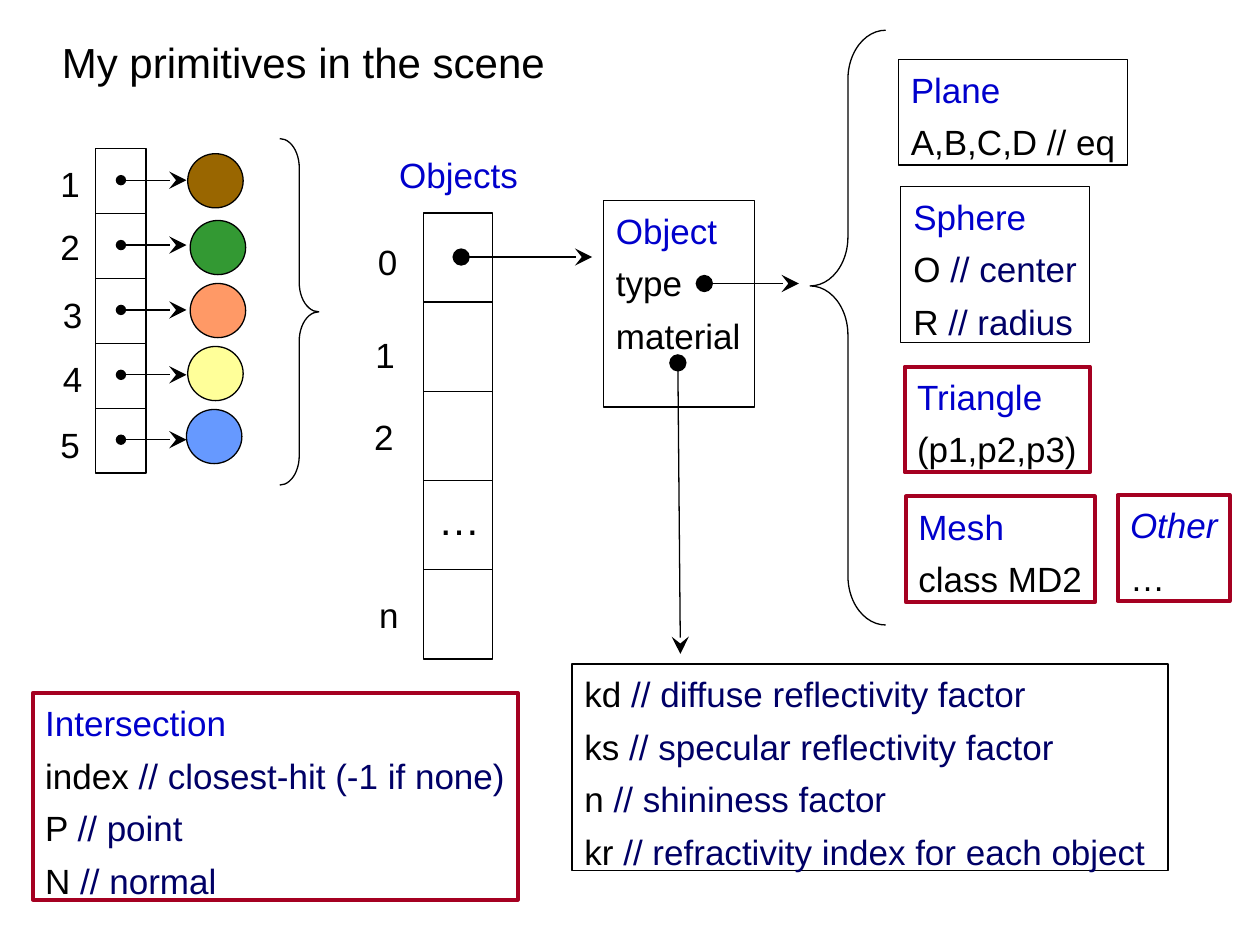
import dataclasses

import pptx
import pptx.dml.color
import pptx.enum.shapes
import pptx.enum.text
import pptx.oxml
import pptx.oxml.ns
import pptx.util

SHAPE = pptx.enum.shapes.MSO_SHAPE
COLUMNS, ROWS = 100, 75


@dataclasses.dataclass(frozen=True)
class Theme:
    font: str = "Arial"
    ink: str = "000000"
    heading: str = "0000CC"
    comment: str = "000066"
    accent: str = "A50021"
    spheres: tuple = ("996600", "339933", "FF9966", "FFFF99", "6699FF")
    title_size: int = 24
    body_size: int = 20
    thin: float = 0.75
    thick: float = 2.25


def rgb(value):
    return pptx.dml.color.RGBColor.from_string(value)


def write(frame, lines, *, font, size, color, gap=6, wrap=True):
    """Fill a frame; each line is a list of (text, format) spans."""
    frame.auto_size = pptx.enum.text.MSO_AUTO_SIZE.NONE
    frame.word_wrap = wrap
    frame.vertical_anchor = pptx.enum.text.MSO_ANCHOR.TOP
    frame.margin_left = pptx.util.Inches(0.1)
    frame.margin_top = pptx.util.Inches(0.07)
    frame.margin_right = frame.margin_bottom = 0
    for index, spans in enumerate(lines):
        para = frame.add_paragraph() if index else frame.paragraphs[0]
        para.alignment = pptx.enum.text.PP_ALIGN.LEFT
        para.space_before = pptx.util.Pt(gap if index else 0)
        for text, options in spans:
            span = para.add_run()
            span.text = text
            span.font.name = font
            span.font.size = pptx.util.Pt(size)
            span.font.italic = options.get("italic", False)
            span.font.color.rgb = rgb(options.get("color", color))


class Canvas:
    """Draws on one slide; lengths are columns and rows of its grid."""

    def __init__(self, deck, theme):
        self.theme = theme
        self.column = deck.slide_width / COLUMNS
        self.row = deck.slide_height / ROWS
        self.page = deck.slides.add_slide(deck.slide_layouts[5])

    def place(self, x, y):
        return round(x * self.column), round(y * self.row)

    def format(self, size=None):
        return dict(font=self.theme.font, color=self.theme.ink,
                    size=size or self.theme.body_size)

    def title(self, text, x, y, width, height):
        holder = self.page.shapes.title
        holder.left, holder.top = self.place(x, y)
        holder.width, holder.height = self.place(width, height)
        write(holder.text_frame, [[(text, {})]], **self.format(self.theme.title_size))

    def label(self, text, x, y, width=3.5, height=4.4, size=None, color=None):
        box = self.page.shapes.add_textbox(*self.place(x, y), *self.place(width, height))
        spans = [(text, {"color": color or self.theme.ink})]
        write(box.text_frame, [spans], **self.format(size))

    def shape(self, kind, x, y, width, height, fill=None, accent=False):
        shape = self.page.shapes.add_shape(
            kind, *self.place(x, y), *self.place(width, height))
        shape.shadow.inherit = False
        if fill:
            shape.fill.solid()
            shape.fill.fore_color.rgb = rgb(fill)
        else:
            shape.fill.background()
        shape.line.color.rgb = rgb(self.theme.accent if accent else self.theme.ink)
        shape.line.width = pptx.util.Pt(self.theme.thick if accent else self.theme.thin)
        return shape

    def brace(self, kind, x, y, width, height, curve, middle):
        brace = self.shape(kind, x, y, width, height)
        brace.adjustments[0], brace.adjustments[1] = curve, middle

    def record(self, name, fields, x, y, width, height, accent=False, italic=False):
        """A box with a coloured heading and (field, comment) lines."""
        box = self.shape(SHAPE.RECTANGLE, x, y, width, height, accent=accent)
        lines = [[(name, {"color": self.theme.heading, "italic": italic})]] if name else []
        for field, comment in fields:
            spans = [(field, {})]
            if comment:
                spans = [(field + " ", {}),
                         ("// " + comment, {"color": self.theme.comment})]
            lines.append(spans)
        write(box.text_frame, lines, **self.format())

    def cells(self, x, y, width, height, count):
        for index in range(count):
            self.shape(SHAPE.RECTANGLE, x, y + index * height, width, height)

    def pointer(self, x1, y1, x2, y2, dot="lg"):
        line = self.page.shapes.add_connector(
            pptx.enum.shapes.MSO_CONNECTOR.STRAIGHT,
            *self.place(x1, y1), *self.place(x2, y2))
        line.line.color.rgb = rgb(self.theme.ink)
        line.line.width = pptx.util.Pt(self.theme.thin)
        stroke = line.line._get_or_add_ln()
        for tag, kind, size in (("headEnd", "oval", dot), ("tailEnd", "stealth", "lg")):
            stroke.append(pptx.oxml.parse_xml(
                f'<a:{tag} {pptx.oxml.ns.nsdecls("a")} type="{kind}" w="{size}" len="{size}"/>'))
        line._element.spPr.append(pptx.oxml.parse_xml(
            f'<a:effectLst {pptx.oxml.ns.nsdecls("a")}/>'))


def draw_spheres(canvas):
    top, pitch = 11.8, 5.15
    canvas.cells(7.6, top, 4, pitch, 5)
    circles = [(14.9, 12.2), (15.1, 17.5), (15.1, 22.5), (14.9, 27.5), (14.8, 32.5)]
    numbers = [(3.8, 12.2), (3.8, 17.2), (4, 22.6), (4, 27.7), (3.8, 32.9)]
    rows = zip(circles, numbers, canvas.theme.spheres)
    for index, (circle, number, fill) in enumerate(rows):
        y = top + index * pitch + 2.5
        canvas.shape(SHAPE.OVAL, *circle, 4.4, 4.3, fill=fill)
        canvas.pointer(9.6, y, 14.8, y, dot="med")
        canvas.label(str(index + 1), *number)
    canvas.brace(SHAPE.RIGHT_BRACE, 22.2, 11, 3.1, 27.5, curve=0.75, middle=0.5)


def draw_objects(canvas):
    theme = canvas.theme
    canvas.cells(33.6, 16.9, 5.5, 7.08, 5)
    canvas.label("Objects", 30.7, 11.5, width=11.4, color=theme.heading)
    canvas.label("…", 33.8, 38.5, 5.3, 5, size=theme.title_size)
    for text, x, y in (("0", 29, 18.4), ("1", 28.8, 25.8),
                       ("2", 28.7, 32.3), ("n", 29.1, 46.4)):
        canvas.label(text, x, y)


def draw_records(canvas):
    canvas.record("Object", [("type", ""), ("material", "")], 47.9, 15.9, 12, 16.4)
    canvas.record("Plane", [("A,B,C,D // eq", "")], 71.3, 4.7, 18.2, 8.4)
    canvas.record("Sphere", [("O", "center"), ("R", "radius")], 71.5, 14.8, 15, 12.4)
    canvas.record("Triangle", [("(p1,p2,p3)", "")], 71.8, 29.1, 14.7, 8.4, accent=True)
    canvas.record("Mesh", [("class MD2", "")], 71.9, 39.4, 15, 8.4, accent=True)
    canvas.record("Other", [("…", "")], 88.7, 39.3, 8.9, 8.4, accent=True, italic=True)
    canvas.record("", [("kd", "diffuse reflectivity factor"),
                       ("ks", "specular reflectivity factor"),
                       ("n", "shininess factor"),
                       ("kr", "refractivity index for each object")],
                  45.4, 52.7, 47.3, 16.4)
    canvas.record("Intersection", [("index", "closest-hit (-1 if none)"),
                                   ("P", "point"), ("N", "normal")],
                  2.6, 55, 38.5, 16.4, accent=True)
    canvas.brace(SHAPE.LEFT_BRACE, 64.3, 2.4, 6, 47.2, curve=0.65, middle=0.43)
    canvas.pointer(36.6, 20.4, 47, 20.4)
    canvas.pointer(55.9, 22.5, 63.4, 22.5)
    canvas.pointer(53.8, 28.8, 54, 51.9)


def main():
    deck = pptx.Presentation()
    deck.slide_width = pptx.util.Inches(10)
    deck.slide_height = pptx.util.Inches(7.5)
    canvas = Canvas(deck, Theme())
    canvas.title("My primitives in the scene", 3.9, 2.2, 40.3, 5)
    draw_spheres(canvas)
    draw_objects(canvas)
    draw_records(canvas)
    deck.save("out.pptx")


if __name__ == "__main__":
    main()
